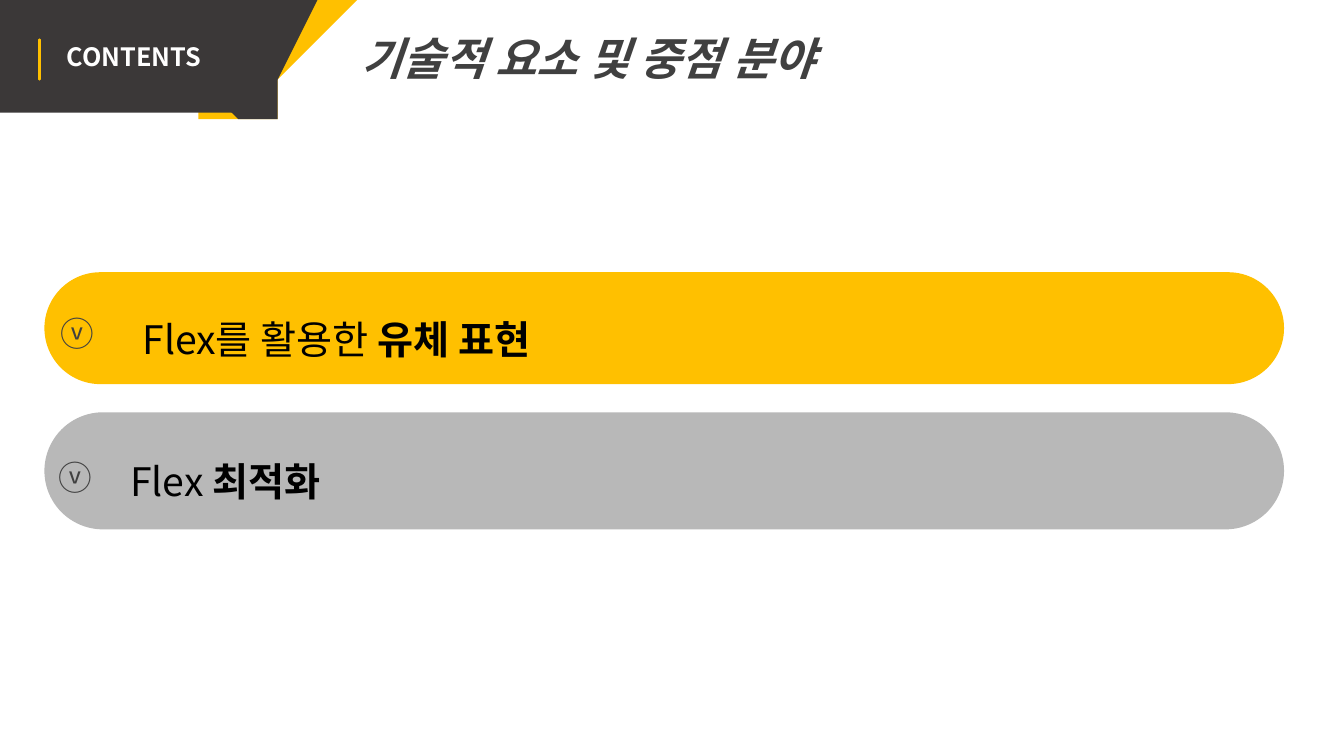
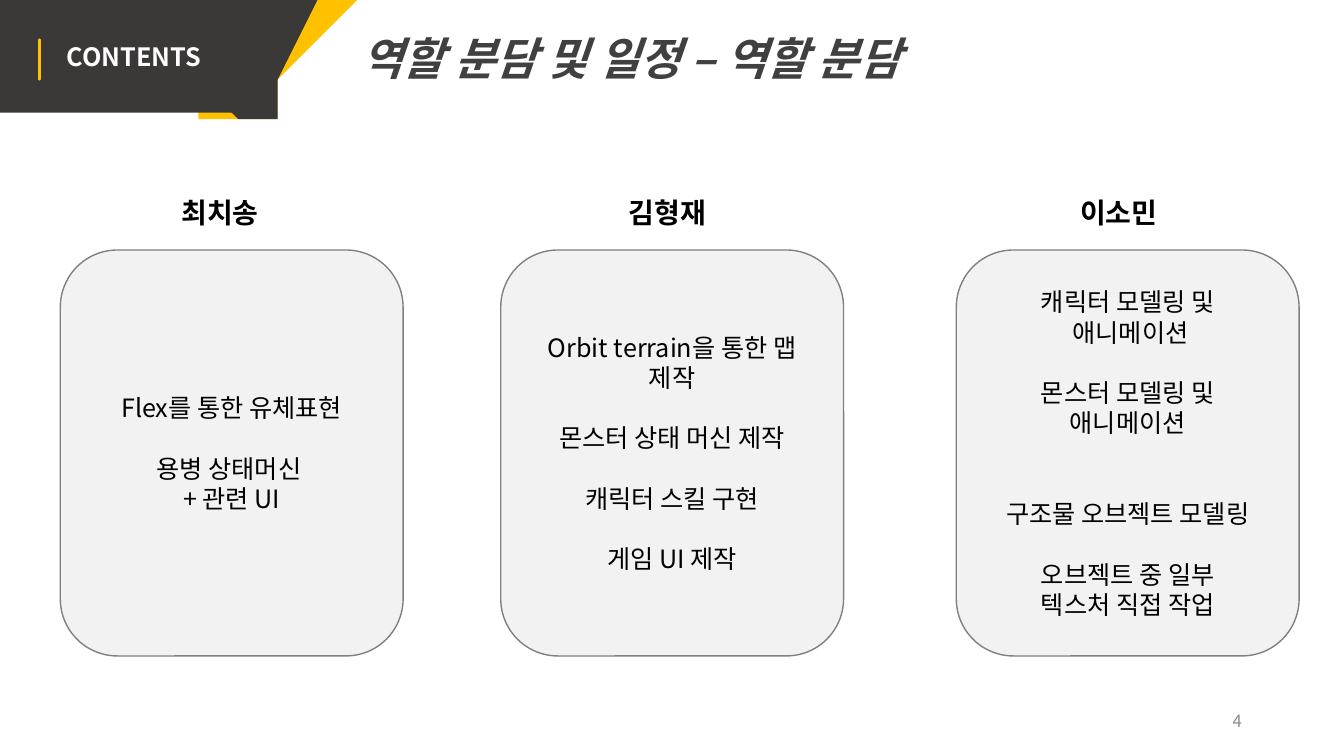
from lxml import etree
from pptx import Presentation
from pptx.dml.color import RGBColor
from pptx.enum import shapes, text
from pptx.oxml import ns
from pptx.util import Cm, Pt

# Shared style
FONT = "Noto Sans CJK KR"
YELLOW, DARK, GREY = "FFC000", "3B3838", "B8B8B8"
BLACK, WHITE, TITLE_GREY = "000000", "FFFFFF", "404040"
CARD_FILL, CARD_LINE, NUMBER_GREY = "F2F2F2", "808080", "8C8C8C"
LEFT, CENTER, RIGHT = text.PP_ALIGN.LEFT, text.PP_ALIGN.CENTER, text.PP_ALIGN.RIGHT
TOP, MIDDLE = text.MSO_ANCHOR.TOP, text.MSO_ANCHOR.MIDDLE
BLANK_LINE = 21.6

# Outlines in cm: a pair is a corner, three pairs are a Bézier curve
YELLOW_TAB = [(5.38, 0), (8.86, 0), (7.29, 2.21),
              ((6.86, 2.87), (5.97, 3.02), (5.33, 2.57)),
              ((4.67, 2.11), (4.52, 1.24), (4.98, 0.58))]
DARK_TAB = [(4.95, 0), (8.23, 0), (6.86, 2.39),
            ((6.63, 2.82), (6.07, 2.95), (5.66, 2.72)), (4.72, 2.18),
            ((4.32, 1.93), (4.17, 1.4), (4.39, 0.97))]
BOOKMARK = [(1.2, 1.55), (1.2, 1.1), ((1.2, 1.06), (1.14, 1), (1.1, 1)),
            (0.74, 1), ((0.7, 1), (0.64, 1.06), (0.64, 1.1)), (0.64, 1.7),
            ((0.64, 1.76), (0.7, 1.78), (0.74, 1.74)), (0.92, 1.56),
            (1.1, 1.74), ((1.14, 1.78), (1.2, 1.76), (1.2, 1.68))]


def color(value):
    return RGBColor.from_string(value)


def paint(shape, fill=None, line=None, width=1):
    shape.shadow.inherit = False
    if fill:
        shape.fill.solid()
        shape.fill.fore_color.rgb = color(fill)
    else:
        shape.fill.background()
    if line:
        shape.line.color.rgb = color(line)
        shape.line.width = Pt(width)
    else:
        shape.line.fill.background()


def add_run(paragraph, content, size, hue, bold=False, italic=False):
    run = paragraph.add_run()
    run.text = content
    font = run.font
    font.size, font.bold, font.italic = Pt(size), bold, italic
    font.color.rgb = color(hue)
    font.name = FONT
    east_asian = etree.SubElement(run._r.get_or_add_rPr(), ns.qn("a:ea"))
    east_asian.set("typeface", FONT)


def add_panel(slide, box, fill, line=None, rounding=None):
    kind = shapes.MSO_SHAPE.RECTANGLE
    if rounding is not None:
        kind = shapes.MSO_SHAPE.ROUNDED_RECTANGLE
    panel = slide.shapes.add_shape(kind, *map(Cm, box))
    if rounding is not None:
        panel.adjustments[0] = rounding
    paint(panel, fill, line)
    panel.text_frame.word_wrap = True
    panel.text_frame.vertical_anchor = MIDDLE
    return panel


def add_label(slide, box, runs, size, hue, align=LEFT, spacing=1.5,
              anchor=TOP, wrap=False):
    """Each run is a (text, bold) pair."""
    frame = slide.shapes.add_textbox(*map(Cm, box)).text_frame
    frame.word_wrap = wrap
    frame.vertical_anchor = anchor
    paragraph = frame.paragraphs[0]
    paragraph.alignment, paragraph.line_spacing = align, spacing
    for content, bold in runs:
        add_run(paragraph, content, size, hue, bold)


def flatten(outline, steps=12):
    points = []
    for part in outline:
        if not isinstance(part[0], tuple):
            points.append(part)
            continue
        curve = (points[-1], *part)
        for step in range(1, steps + 1):
            t = step / steps
            weights = ((1 - t) ** 3, 3 * t * (1 - t) ** 2, 3 * t * t * (1 - t), t ** 3)
            points.append(tuple(sum(w * p[axis] for w, p in zip(weights, curve))
                                for axis in (0, 1)))
    return points


def add_outline(slide, outline, fill=None, line=None, width=1):
    start, *rest = flatten(outline)
    builder = slide.shapes.build_freeform(*start, scale=Cm(1))
    builder.add_line_segments(rest, close=fill is not None)
    paint(builder.convert_to_shape(), fill, line, width)


def add_header(slide):
    add_outline(slide, YELLOW_TAB, YELLOW)
    add_outline(slide, DARK_TAB, DARK)
    frame = add_panel(slide, (0, 0, 6.17, 2.84), DARK).text_frame
    frame.margin_left = Cm(1.68)
    frame.paragraphs[0].alignment = LEFT
    add_run(frame.paragraphs[0], "CONTENTS", 18, WHITE, bold=True)
    add_outline(slide, BOOKMARK, line=YELLOW, width=1.8)


def add_slide(presentation, title):
    slide = presentation.slides.add_slide(presentation.slide_layouts[5])
    shape = slide.shapes.title
    shape.left, shape.top, shape.width, shape.height = map(Cm, (8.86, -0.03, 17.5, 2.03))
    frame = shape.text_frame
    frame.auto_size = text.MSO_AUTO_SIZE.NONE
    frame.vertical_anchor, frame.word_wrap = TOP, True
    paragraph = frame.paragraphs[0]
    paragraph.alignment, paragraph.line_spacing = LEFT, 1.5
    add_run(paragraph, title, 32, TITLE_GREY, bold=True, italic=True)
    add_header(slide)
    return slide


def add_topic(slide, bar, fill, marker, label, runs):
    add_panel(slide, bar, fill, rounding=0.5)
    add_label(slide, marker, [("ⓥ", False)], 24, TITLE_GREY, CENTER)
    add_label(slide, label, runs, 28, BLACK, CENTER)


def add_role_card(slide, left, name_left, name, tasks):
    """Each task is a (blank lines before, text) pair."""
    add_label(slide, (name_left, 4.37, 2.64, 1.37), [(name, True)], 20, BLACK)
    card = add_panel(slide, (left, 6.3, 8.64, 10.23), CARD_FILL, CARD_LINE, 0.1667)
    frame = card.text_frame
    for index, (gap, task) in enumerate(tasks):
        paragraph = frame.add_paragraph() if index else frame.paragraphs[0]
        paragraph.alignment = CENTER
        paragraph.space_before = Pt(gap * BLANK_LINE)
        add_run(paragraph, task, 18, BLACK)


def build_topics(presentation):
    slide = add_slide(presentation, "기술적 요소 및 중점 분야")
    add_topic(slide, (1.12, 6.86, 31.24, 2.82), YELLOW,
              (1.27, 7.24, 1.37, 1.6), (2.84, 7.24, 11.28, 1.83),
              [("Flex를 활용한 ", False), ("유체 표현", True)])
    add_topic(slide, (1.12, 10.39, 31.24, 2.95), GREY,
              (1.22, 10.87, 1.37, 1.6), (2.01, 10.8, 7.34, 1.83),
              [("Flex ", False), ("최적화", True)])


def build_roles(presentation):
    slide = add_slide(presentation, "역할 분담 및 일정 – 역할 분담")
    add_label(slide, (23.93, 17.65, 7.62, 1.02), [("4", False)], 12, NUMBER_GREY,
              RIGHT, spacing=1, anchor=MIDDLE, wrap=True)
    add_role_card(slide, 1.52, 4.32, "최치송", [
        (0, "Flex를 통한 유체표현"), (1, "용병 상태머신 "), (0, "+ 관련 UI")])
    add_role_card(slide, 12.62, 15.6, "김형재", [
        (0, "Orbit terrain을 통한 맵 제작"), (1, "몬스터 상태 머신 제작"),
        (1, "캐릭터 스킬 구현"), (1, "게임 UI 제작")])
    add_role_card(slide, 24.1, 26.97, "이소민", [
        (0, "캐릭터 모델링 및"), (0, " 애니메이션"),
        (1, "몬스터 모델링 및"), (0, "애니메이션"),
        (2, "구조물 오브젝트 모델링"),
        (1, "오브젝트 중 일부"), (0, "텍스처 직접 작업")])


def main():
    presentation = Presentation()
    presentation.slide_width, presentation.slide_height = Cm(33.87), Cm(19.05)
    build_topics(presentation)
    build_roles(presentation)
    presentation.save("out.pptx")


if __name__ == "__main__":
    main()
